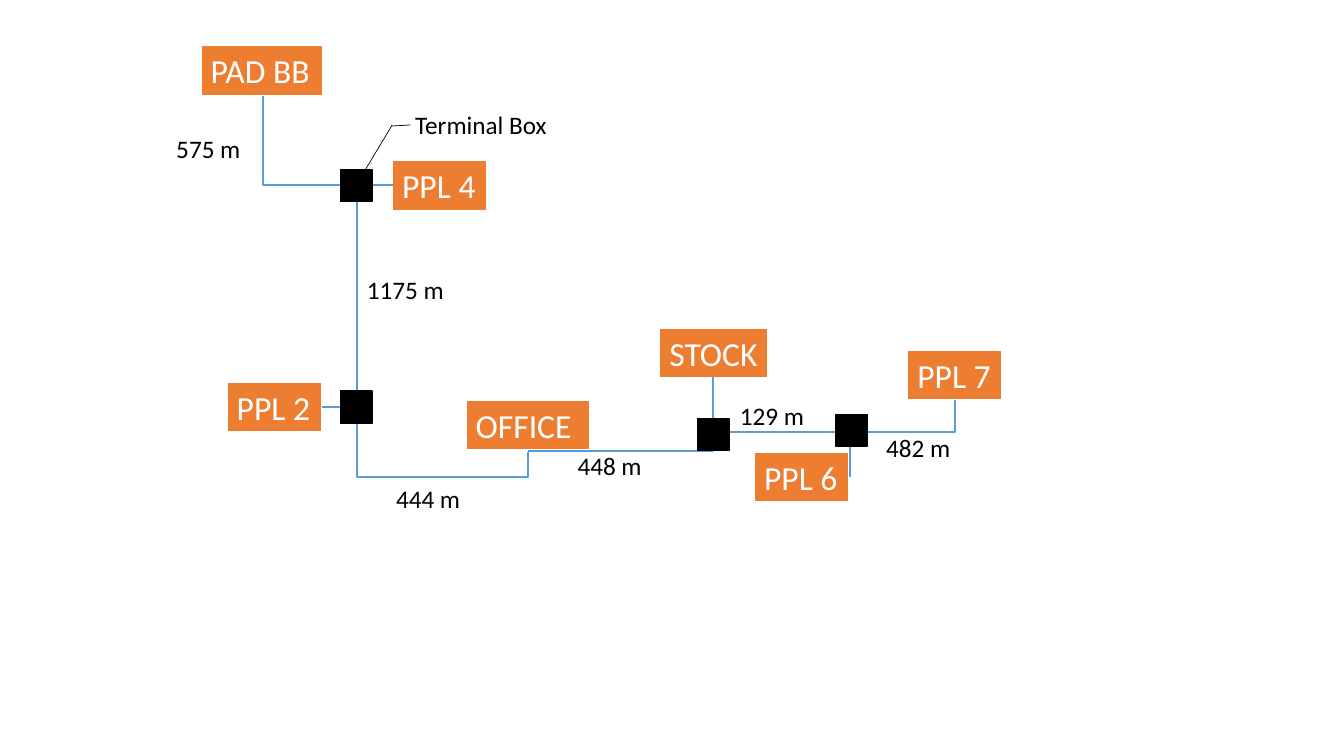
"""Build a slide with a cable route diagram between sites and terminal boxes."""
from lxml import etree
from pptx import Presentation
from pptx.dml.color import RGBColor
from pptx.enum.shapes import MSO_CONNECTOR, MSO_SHAPE
from pptx.enum.text import MSO_AUTO_SIZE, PP_ALIGN
from pptx.oxml.ns import qn
from pptx.util import Inches, Pt

ORANGE = RGBColor(0xED, 0x7D, 0x31)
BLUE = RGBColor(0x5B, 0x9B, 0xD5)
WHITE = RGBColor(0xFF, 0xFF, 0xFF)
BLACK = RGBColor(0x00, 0x00, 0x00)
RECTANGLE = MSO_SHAPE.RECTANGLE
ELBOW = MSO_CONNECTOR.ELBOW
STRAIGHT = MSO_CONNECTOR.STRAIGHT
LEFT = PP_ALIGN.LEFT
GROW = MSO_AUTO_SIZE.SHAPE_TO_FIT_TEXT

SITES = [
    ("PPL 4", 3.89, 1.59, 0.94),
    ("PPL 2", 2.25, 3.79, 0.94),
    ("PAD BB", 1.99, 0.45, 1.21),
    ("OFFICE", 4.62, 3.97, 1.23),
    ("STOCK", 6.54, 3.25, 1.08),
    ("PPL 6", 7.48, 4.48, 0.94),
    ("PPL 7", 9, 3.47, 0.94),
]
CABLES = [
    ("bentConnector2", 2.81, 0.75, 0.88, 1.29, 270, ["flipH"], []),
    ("bentConnector3", 3.19, 1.84, 0.7, 2.2, 180, ["flipV"], [50000]),
    ("bentConnector4", 3.19, 4.04, 2.05, 0.44, 0, [], [17200, 157100]),
    ("bentConnector3", 5.79, 3.19, 0.73, 1.84, 90, ["flipH", "flipV"], [0]),
    ("bentConnector3", 7.08, 4.29, 1.35, 0.44, 0, [], [100000]),
    ("bentConnector2", 8.42, 3.97, 1.05, 0.32, 0, ["flipV"], []),
]
TERMINAL_BOXES = [(3.38, 1.68), (3.38, 3.88), (6.92, 4.15), (8.29, 4.11)]
LABELS = [
    ("1175 m", 3.54, 2.67, 1.06),
    ("444 m", 3.83, 4.75, 1.06),
    ("448 m", 5.63, 4.42, 1.06),
    ("129 m", 7.24, 3.92, 1.06),
    ("482 m", 8.69, 4.24, 1.06),
    ("575 m", 1.65, 1.27, 1.06),
    ("Terminal Box", 4.02, 1.04, 1.6),
]
LEADERS = [(3.53, 1.84, 3.89, 1.24), (3.89, 1.25, 4.07, 1.24)]


def write(frame, text, size, color):
    frame.word_wrap = True
    frame.auto_size = GROW
    frame.margin_right = 0
    paragraph = frame.paragraphs[0]
    paragraph.text = text
    paragraph.alignment = LEFT
    paragraph.font.name = "Calibri"
    paragraph.font.size = Pt(size)
    paragraph.font.color.rgb = color


def draw_line(kind, ends, color, width):
    line = slide.shapes.add_connector(kind, *map(Inches, ends))
    line.line.color.rgb = color
    line.line.width = Pt(width)
    etree.SubElement(line._element.spPr, qn("a:effectLst"))
    return line


prs = Presentation()
prs.slide_width = Inches(13.33)
prs.slide_height = Inches(7.5)
slide = prs.slides.add_slide(prs.slide_layouts[6])

for name, left, top, width in SITES:
    site = slide.shapes.add_shape(
        RECTANGLE, Inches(left), Inches(top), Inches(width), Inches(0.5))
    site.shadow.inherit = False
    site.fill.solid()
    site.fill.fore_color.rgb = ORANGE
    site.line.color.rgb = WHITE
    site.line.width = Pt(1.5)
    write(site.text_frame, name, 24, WHITE)

for preset, left, top, width, height, angle, flips, bends in CABLES:
    cable = draw_line(ELBOW, (left, top, left + width, top + height), BLUE, 1.5)
    properties = cable._element.spPr
    frame = properties.find(qn("a:xfrm"))
    frame.set("rot", str(angle * 60000))
    for flip in flips:
        frame.set(flip, "1")
    geometry = properties.find(qn("a:prstGeom"))
    geometry.set("prst", preset)
    guides = geometry.find(qn("a:avLst"))
    for number, bend in enumerate(bends, 1):
        etree.SubElement(guides, qn("a:gd"), name=f"adj{number}", fmla=f"val {bend}")

for left, top in TERMINAL_BOXES:
    terminal = slide.shapes.add_shape(
        RECTANGLE, Inches(left), Inches(top), Inches(0.31), Inches(0.32))
    terminal.shadow.inherit = False
    terminal.fill.solid()
    terminal.fill.fore_color.rgb = BLACK
    terminal.line.color.rgb = BLACK
    terminal.line.width = Pt(1)

for ends in LEADERS:
    draw_line(STRAIGHT, ends, BLACK, 0.5)

for text, left, top, width in LABELS:
    label = slide.shapes.add_textbox(
        Inches(left), Inches(top), Inches(width), Inches(0.4))
    write(label.text_frame, text, 18, BLACK)

prs.save("out.pptx")
